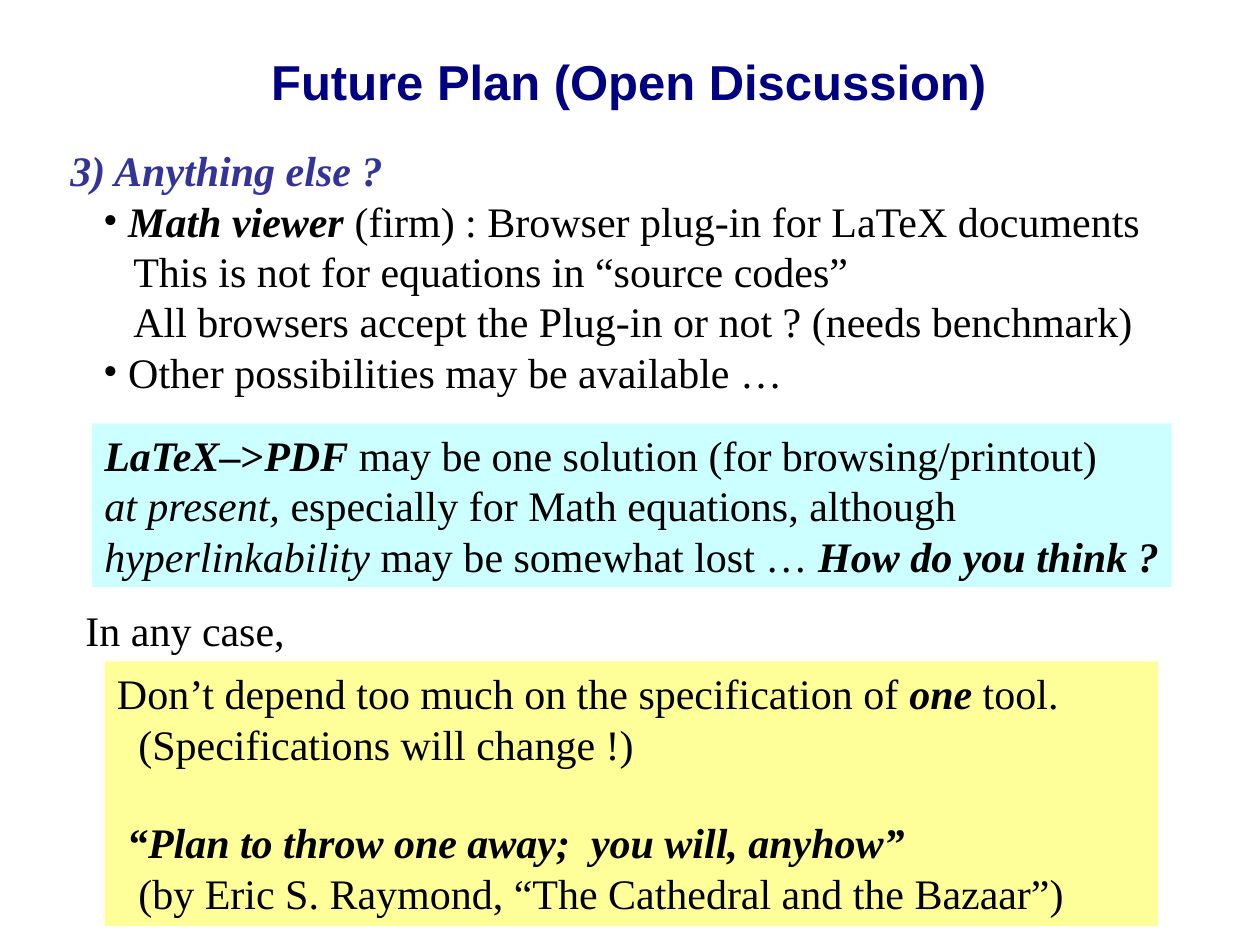
from pptx import Presentation
from pptx.dml.color import RGBColor
from pptx.enum import shapes, text
from pptx.oxml.ns import qn
from pptx.util import Inches, Pt
from lxml import etree


def rgb(color):
    return RGBColor.from_string(color)


def write(sp, paragraphs, wrap=True):
    tf = sp.text_frame
    tf.word_wrap = wrap
    tf.vertical_anchor = text.MSO_ANCHOR.TOP
    for i, (margin, bullet, before, runs) in enumerate(paragraphs):
        p = tf.paragraphs[0] if i == 0 else tf.add_paragraph()
        p.alignment = text.PP_ALIGN.LEFT
        p.space_before = Pt(before)
        pPr = p._p.get_or_add_pPr()
        pPr.set("marL", str(Inches(margin)))
        pPr.set("indent", str(Inches(-0.2 if bullet else 0)))
        if bullet:
            etree.SubElement(pPr, qn("a:buFont"), typeface="Times New Roman")
            etree.SubElement(pPr, qn("a:buChar"), char="•")
        for words, style, color in runs:
            r = p.add_run()
            r.text = words
            r.font.name = "Times New Roman"
            r.font.size = Pt(24)
            r.font.bold = "b" in style
            r.font.italic = "i" in style
            r.font.color.rgb = rgb(color)


BLACK = "000000"

prs = Presentation()
prs.slide_width, prs.slide_height = Inches(10), Inches(7.5)
s = prs.slides.add_slide(prs.slide_layouts[5])

title = s.shapes.title
title.left, title.top = Inches(0.74), Inches(0.02)
title.width, title.height = Inches(8.5), Inches(1.25)
title.text_frame.text = "Future Plan (Open Discussion)"
title.text_frame.vertical_anchor = text.MSO_ANCHOR.MIDDLE
p = title.text_frame.paragraphs[0]
p.alignment = text.PP_ALIGN.CENTER
font = p.runs[0].font
font.name, font.size, font.bold = "Arial", Pt(28), True
font.color.rgb = rgb("000080")

ideas = s.shapes.add_textbox(Inches(0.46), Inches(1.1), Inches(9.2), Inches(2.1))
write(ideas, [
    (0, False, 0, [("3) Anything else ?", "bi", "333399")]),
    (0.46, True, 0, [("Math viewer", "bi", BLACK),
                     (" (firm) : Browser plug-in for LaTeX documents", "", BLACK)]),
    (0.5, False, 0, [("This is not for equations in “source codes”", "", BLACK)]),
    (0.5, False, 0, [("All browsers accept the Plug-in or not ? (needs benchmark)", "", BLACK)]),
    (0.46, True, 0, [("Other possibilities may be available …", "", BLACK)]),
])

advice = [
    (0, False, 0, [("Don’t depend too much on the specification of ", "", BLACK),
                   ("one", "bi", BLACK), (" tool.", "", BLACK)]),
    (0.17, False, 0, [("(Specifications will change !)", "", BLACK)]),
    (0.08, False, 27.6, [("“Plan to throw one away;  you will, anyhow”", "bi", BLACK)]),
    (0.17, False, 0, [("(by Eric S. Raymond, “The Cathedral and the Bazaar”)", "", BLACK)]),
]
solution = [
    (0, False, 0, [("LaTeX", "bi", BLACK), ("–>", "b", BLACK), ("PDF", "bi", BLACK),
                   (" may be one solution (for browsing/printout)", "", BLACK)]),
    (0, False, 0, [("at present, ", "i", BLACK),
                   ("especially for Math equations, although", "", BLACK)]),
    (0, False, 0, [("hyperlinkability", "i", BLACK), (" may be somewhat lost … ", "", BLACK),
                   ("How do you think ?", "bi", BLACK)]),
]
for left, top, width, height, fill, wrap, paragraphs in [
    (0.83, 5.25, 8.36, 2.1, "FFFF99", True, advice),
    (0.73, 3.36, 8.57, 1.3, "CCFFFF", False, solution),
]:
    sp = s.shapes.add_shape(shapes.MSO_SHAPE.RECTANGLE, Inches(left), Inches(top),
                            Inches(width), Inches(height))
    sp.shadow.inherit = False
    sp.fill.solid()
    sp.fill.fore_color.rgb = rgb(fill)
    sp.line.fill.background()
    write(sp, paragraphs, wrap)

lead_in = s.shapes.add_textbox(Inches(0.58), Inches(4.75), Inches(1.78), Inches(0.5))
write(lead_in, [(0, False, 0, [("In any case,", "", BLACK)])], False)

prs.save("out.pptx")
